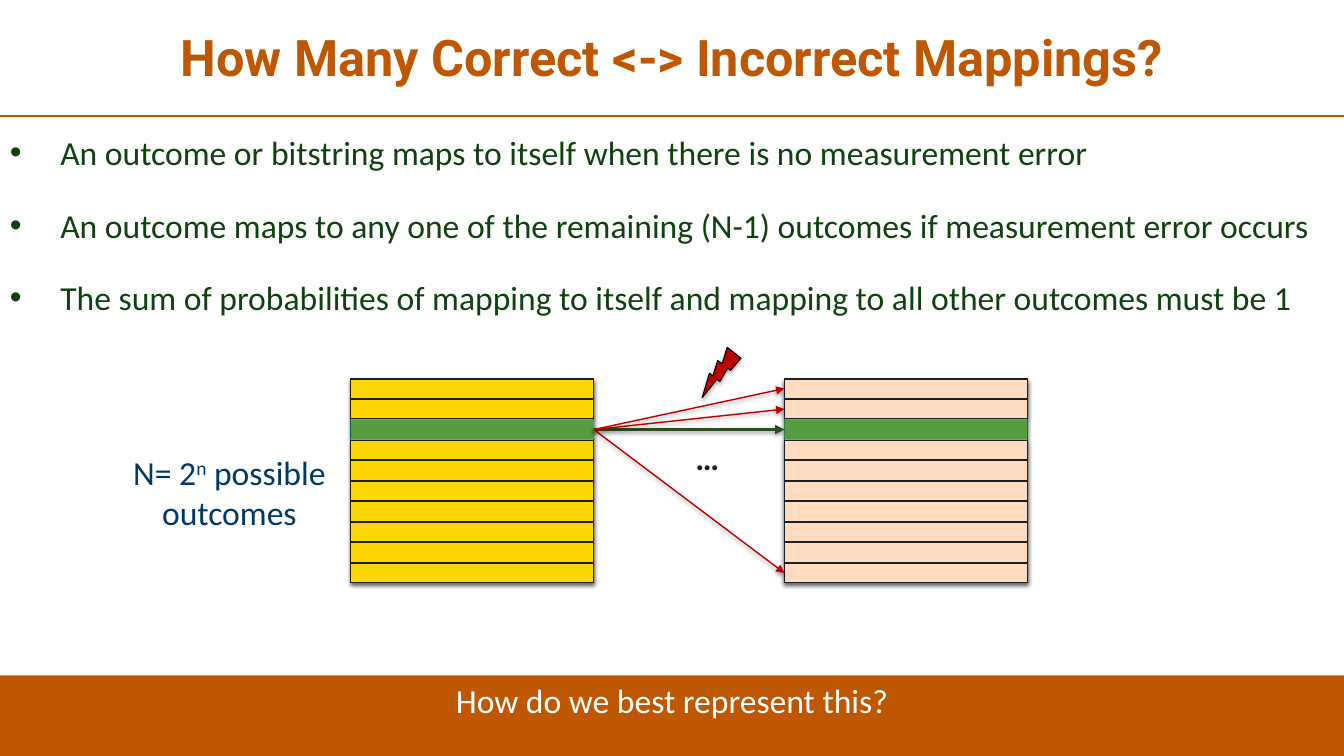
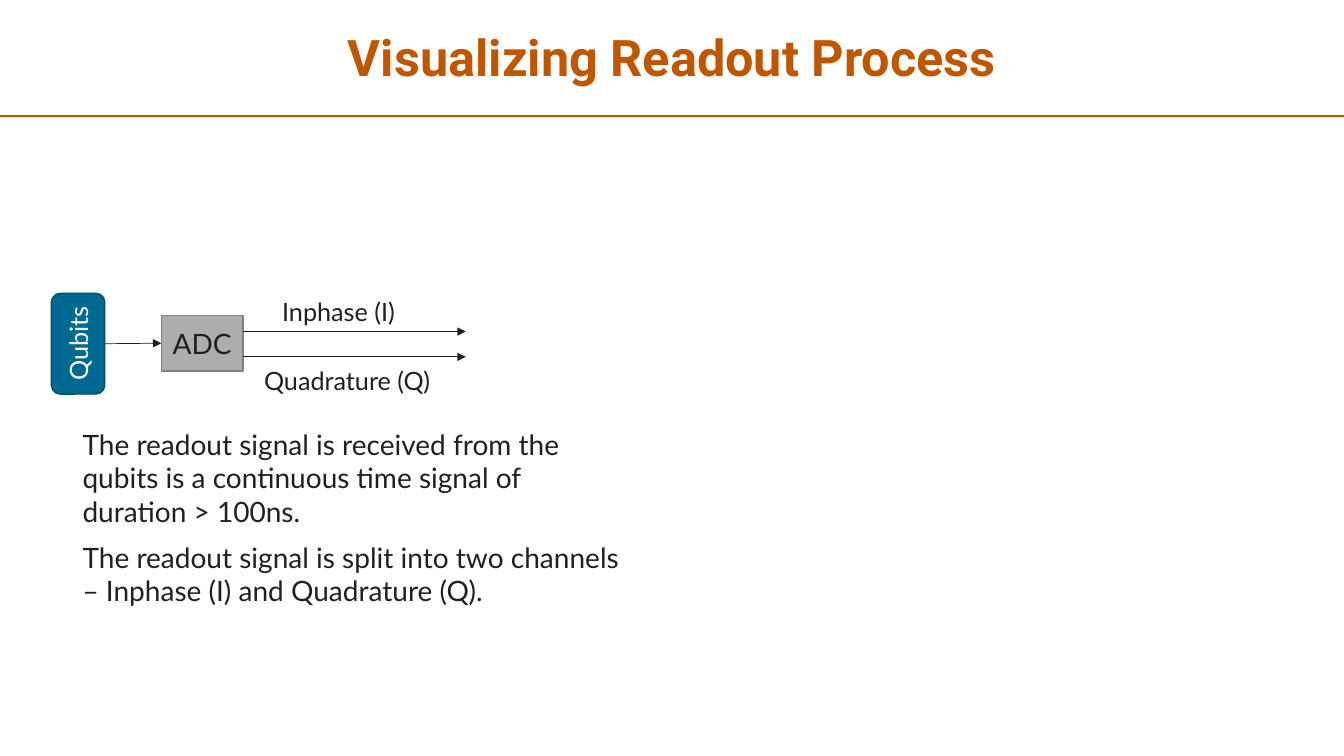
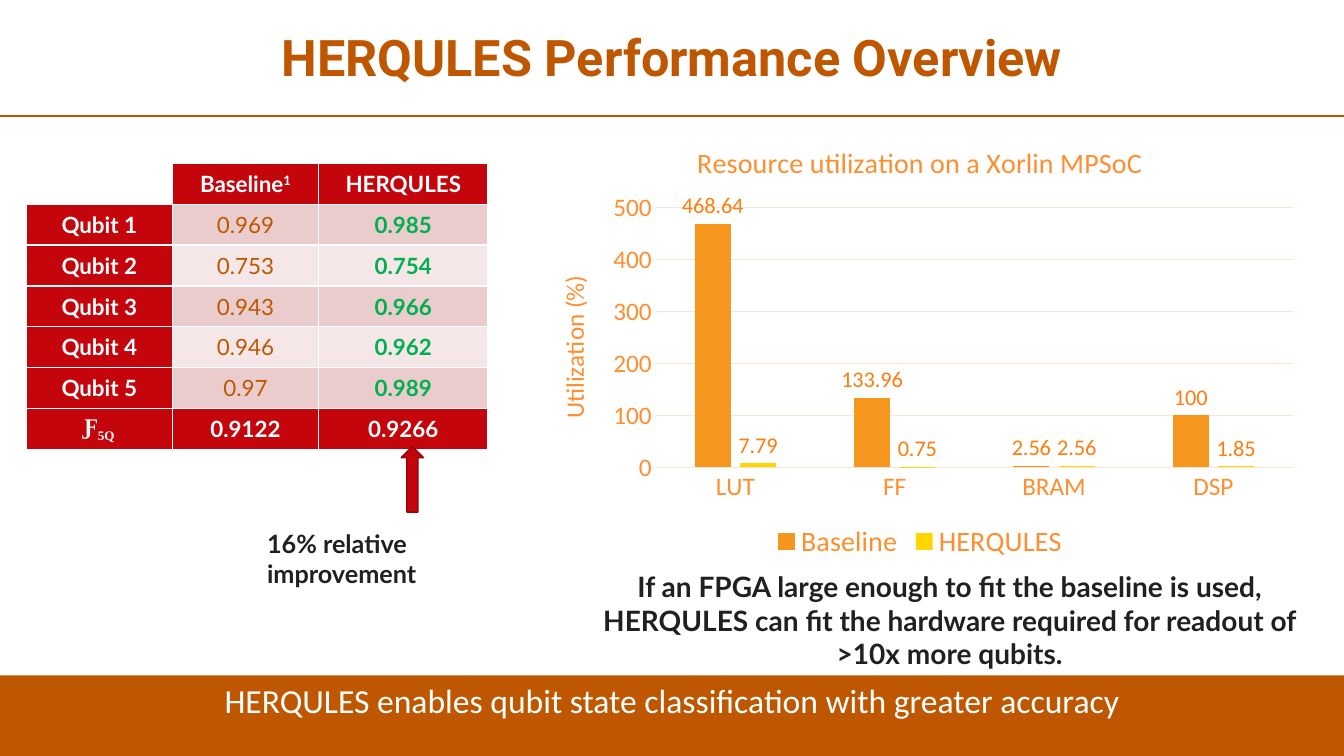
from typing import NamedTuple, Optional, Union

from lxml.etree import SubElement
from pptx import Presentation
from pptx.chart.data import CategoryChartData
from pptx.dml.color import RGBColor
from pptx.enum.chart import (XL_CHART_TYPE as Chart, XL_LABEL_POSITION as Spot,
                             XL_LEGEND_POSITION as Side, XL_TICK_MARK as Tick)
from pptx.enum.shapes import MSO_CONNECTOR as Wire, MSO_SHAPE as Kind
from pptx.enum.text import MSO_ANCHOR as Anchor, PP_ALIGN as Align
from pptx.oxml import parse_xml
from pptx.oxml.ns import nsdecls, qn
from pptx.util import Inches, Pt

# Colours
TITLE = RGBColor(0xBE, 0x57, 0x00)
BAND = RGBColor(0xBF, 0x57, 0x00)
WHITE = RGBColor(0xFF, 0xFF, 0xFF)
INK = RGBColor(0x20, 0x20, 0x20)
DARK = RGBColor(0x1A, 0x1F, 0x24)
BLACK = RGBColor(0x00, 0x00, 0x00)
FOREST = RGBColor(0x10, 0x42, 0x10)
NAVY = RGBColor(0x00, 0x39, 0x63)
EDGE = RGBColor(0x00, 0x5C, 0x83)
SKY = RGBColor(0xAB, 0xC3, 0xE0)
PALE = RGBColor(0xE8, 0xEF, 0xF7)
GOLD = RGBColor(0xFF, 0xD6, 0x00)
PEACH = RGBColor(0xFF, 0xDC, 0xBF)
LEAF = RGBColor(0x57, 0x9C, 0x41)
MOSS = RGBColor(0x2B, 0x4E, 0x20)
RED = RGBColor(0xC0, 0x00, 0x00)
GREY = RGBColor(0xAD, 0xAD, 0xAD)
STEEL = RGBColor(0x80, 0x80, 0x80)
TEAL = RGBColor(0x00, 0x69, 0x92)
DEEP = RGBColor(0x00, 0x4E, 0x6C)
CRIMSON = RGBColor(0xC5, 0x05, 0x0C)
WINE = RGBColor(0x92, 0x04, 0x09)
ROSE = RGBColor(0xEA, 0xCC, 0xCC)
BLUSH = RGBColor(0xF5, 0xE7, 0xE7)
GREEN = RGBColor(0x00, 0xB0, 0x50)
AMBER = RGBColor(0xFF, 0x8E, 0x2F)
LABEL = RGBColor(0xFF, 0x7D, 0x0F)
GRID = RGBColor(0xFF, 0xE5, 0xCF)
ORANGE = RGBColor(0xF7, 0x96, 0x1F)


class Bit(NamedTuple):
    """Piece of text with a raised or lowered baseline, in percent."""
    text: str
    base: int = 0


class Box(NamedTuple):
    x: float
    y: float
    w: float
    h: float

    def size(self) -> list:
        return [Inches(n) for n in self]


class Bars(NamedTuple):
    name: str
    vals: tuple
    fill: RGBColor


class Ray(NamedTuple):
    row: int
    color: RGBColor
    width: float


Text = Union[str, list]


# Text
def write(frame, text: Text, *, size: float, color: RGBColor, font: str = "Lato",
          bold: bool = False, align=Align.LEFT, lead: Optional[float] = None,
          bullet: bool = False) -> None:
    bits = [Bit(text)] if isinstance(text, str) else text
    para = frame.paragraphs[0]
    paras = [para]
    for bit in bits:
        for i, part in enumerate(bit.text.split("\n")):
            if i:
                para = frame.add_paragraph()
                paras.append(para)
            run = para.add_run()
            run.text = part
            run.font.size, run.font.name, run.font.bold = Pt(size), font, bold
            run.font.color.rgb = color
            if bit.base:
                run.font._element.set("baseline", str(bit.base * 1000))
    for para in paras:
        para.alignment = align
        if lead:
            para.line_spacing = lead
        if bullet:
            ppr = para._p.get_or_add_pPr()
            ppr.set("marL", str(Inches(0.5)))
            ppr.set("indent", str(Inches(-0.5)))
            SubElement(ppr, qn("a:buFont")).set("typeface", "Arial")
            SubElement(ppr, qn("a:buChar")).set("char", "•")


def label(slide, box: Box, text: Text, *, wrap: bool = True,
          anchor=Anchor.TOP, **style) -> None:
    frame = slide.shapes.add_textbox(*box.size()).text_frame
    frame.word_wrap = wrap
    frame.vertical_anchor = anchor
    write(frame, text, **style)


# Shapes and lines
def cast(item, alpha: int = 35, dist: float = 1.8) -> None:
    """Give an item a soft shadow below it."""
    item._element.spPr.find(qn("a:effectLst")).append(parse_xml(
        f'<a:outerShdw {nsdecls("a")} blurRad="{Pt(3.1)}" dist="{Pt(dist)}" '
        f'dir="5400000" rotWithShape="0"><a:srgbClr val="000000">'
        f'<a:alpha val="{alpha * 1000}"/></a:srgbClr></a:outerShdw>'))


def shape(slide, kind, box: Box, fill: Optional[RGBColor] = None,
          line: Optional[RGBColor] = None, width: float = 0.75):
    item = slide.shapes.add_shape(kind, *box.size())
    item.shadow.inherit = False
    if fill is not None:
        item.fill.solid()
        item.fill.fore_color.rgb = fill
    if line is None:
        item.line.fill.background()
    else:
        item.line.color.rgb = line
        item.line.width = Pt(width)
    return item


def wire(slide, start: tuple, end: tuple, color: RGBColor, width: float,
         arrow: bool = True):
    item = slide.shapes.add_connector(
        Wire.STRAIGHT, *[Inches(n) for n in start + end])
    item.line.color.rgb = color
    item.line.width = Pt(width)
    if arrow:
        SubElement(item.line._get_or_add_ln(), qn("a:tailEnd")).set("type", "triangle")
    SubElement(item._element.spPr, qn("a:effectLst"))
    return item


# Shared frame of every slide
def start(deck, title: str, foot: str = ""):
    slide = deck.slides.add_slide(deck.slide_layouts[6])
    label(slide, Box(0.09, 0.04, 13.15, 1.11), title, anchor=Anchor.MIDDLE, size=36,
          color=TITLE, font="Roboto", bold=True, align=Align.CENTER, lead=0.9)
    wire(slide, (0, 1.15), (13.33, 1.15), BAND, 1.5, arrow=False)
    if foot:
        band = shape(slide, Kind.RECTANGLE, Box(0, 6.7, 13.33, 0.8), BAND)
        band.text_frame.vertical_anchor = Anchor.TOP
        write(band.text_frame, foot, size=24, color=WHITE, font="Calibri",
              align=Align.CENTER)
    return slide


# Slide 1: mappings
def stack(slide, left: float, fill: RGBColor) -> list:
    """Ten rows, of which the third is the correct outcome."""
    top, wide, high, row, count = 3.76, 2.41, 2.02, 0.19, 10
    back = shape(slide, Kind.RECTANGLE, Box(left, top, wide, high), line=EDGE)
    back.fill.gradient()
    back.fill.gradient_angle = 90
    for stop, color in zip(back.fill.gradient_stops, (SKY, PALE)):
        stop.color.rgb = color
    cast(back, 38, 1.6)
    step = (high - row) / (count - 1)
    rows = []
    for i in range(count):
        box = Box(left, top + i * step, wide, row)
        look = (LEAF, None) if i == 2 else (fill, DARK)
        rows.append(shape(slide, Kind.RECTANGLE, box, *look))
        cast(rows[-1])
    return rows


def mappings(deck) -> None:
    slide = start(deck, "How Many Correct <-> Incorrect Mappings?",
                  "How do we best represent this?")
    points = (
        "An outcome or bitstring maps to itself when there is no measurement error",
        "An outcome maps to any one of the remaining (N-1) outcomes if measurement error occurs",
        "The sum of probabilities of mapping to itself and mapping to all other outcomes must be 1",
    )
    for i, point in enumerate(points):
        label(slide, Box(0, 1.26 + 0.72 * i, 13.33, 0.5), point, size=24,
              color=FOREST, font="Calibri", bullet=True)

    left = stack(slide, 3.48, GOLD)
    right = stack(slide, 7.78, PEACH)
    bolt = shape(slide, Kind.LIGHTNING_BOLT, Box(6.94, 3.43, 0.38, 0.5), RED, BLACK)
    bolt.rotation = 69.2
    cast(bolt)
    for ray in (Ray(2, MOSS, 2.25), Ray(9, RED, 1), Ray(0, RED, 1), Ray(1, RED, 1)):
        line = wire(slide, (0, 0), (1, 1), ray.color, ray.width)
        line.begin_connect(left[2], 3)
        line.end_connect(right[ray.row], 1)
        cast(line, 38, 1.6)

    mid = dict(anchor=Anchor.MIDDLE, size=24, font="Calibri", align=Align.CENTER)
    label(slide, Box(1.17, 4.48, 2.21, 0.8),
          [Bit("N= 2"), Bit("n", 30), Bit(" possible\noutcomes")], color=NAVY, **mid)
    label(slide, Box(6.57, 4.13, 0.89, 0.8), "…", color=DARK, bold=True, **mid)


# Slide 2: readout
def readout(deck) -> None:
    slide = start(deck, "Visualizing Readout Process")
    adc = shape(slide, Kind.RECTANGLE, Box(1.6, 3.13, 0.81, 0.55), GREY, STEEL, 1)
    write(adc.text_frame, "ADC", size=20, color=INK, align=Align.CENTER)
    qubits = shape(slide, Kind.ROUNDED_RECTANGLE, Box(0.51, 2.91, 0.53, 1),
                   TEAL, DEEP, 1)
    frame = qubits.text_frame
    frame.margin_left = frame.margin_right = frame.margin_top = frame.margin_bottom = 0
    frame._txBody.bodyPr.set("vert", "vert270")
    write(frame, "Qubits", size=18, color=WHITE, align=Align.CENTER)

    feed = wire(slide, (1.04, 3.41), (1.6, 3.41), INK, 0.5)
    feed.begin_connect(qubits, 3)
    feed.end_connect(adc, 1)
    for y in (3.29, 3.54):
        wire(slide, (2.41, y), (4.62, y), INK, 0.5)

    label(slide, Box(2.7, 2.89, 1.4, 0.4), "Inphase (I)", wrap=False, size=18, color=INK)
    label(slide, Box(2.52, 3.58, 1.98, 0.4), "Quadrature (Q)", wrap=False, size=18,
          color=INK)
    label(slide, Box(0.72, 4.19, 5.59, 1.11),
          "The readout signal is received from the qubits is a continuous time "
          "signal of duration > 100ns.", size=20, color=INK)
    label(slide, Box(0.72, 5.31, 5.59, 0.77),
          "The readout signal is split into two channels – Inphase (I) and "
          "Quadrature (Q).", size=20, color=INK)


# Slide 3: performance
def scores(slide) -> None:
    rows = (
        ("", [Bit("Baseline"), Bit("1", 30)], "HERQULES"),
        ("Qubit 1", "0.969", "0.985"),
        ("Qubit 2", "0.753", "0.754"),
        ("Qubit 3", "0.943", "0.966"),
        ("Qubit 4", "0.946", "0.962"),
        ("Qubit 5", "0.97", "0.989"),
        ([Bit("Ƒ"), Bit("5Q", -25)], "0.9122", "0.9266"),
    )
    last = len(rows) - 1
    table = slide.shapes.add_table(
        len(rows), 3, *Box(0.26, 1.62, 4.58, 2.84).size()).table
    table.first_col = table.last_row = True
    for col, wide in zip(table.columns, (1.45, 1.45, 1.68)):
        col.width = Inches(wide)
    for r, row in enumerate(rows):
        for c, text in enumerate(row):
            cell = table.cell(r, c)
            head = r in (0, last) or c == 0
            cell.fill.solid()
            cell.fill.fore_color.rgb = (CRIMSON if head and text else
                                        WHITE if head else (BLUSH, ROSE)[r % 2])
            cell.vertical_anchor = Anchor.MIDDLE
            if text:
                write(cell.text_frame, text, size=16, bold=head or c == 2,
                      color=WHITE if head else (TITLE, GREEN)[c - 1],
                      font="Times New Roman" if (r, c) == (last, 0) else "Lato",
                      align=Align.CENTER)


def tint(font, size: float, color: RGBColor) -> None:
    font.size, font.name, font.bold = Pt(size), "Calibri", False
    font.color.rgb = color


def usage(slide) -> None:
    series = (Bars("Baseline", (468.64, 133.96, 2.56, 100), ORANGE),
              Bars("HERQULES", (7.79, 0.75, 2.56, 1.85), GOLD))
    data = CategoryChartData()
    data.categories = ("LUT", "FF", "BRAM", "DSP")
    for bars in series:
        data.add_series(bars.name, bars.vals)
    chart = slide.shapes.add_chart(Chart.COLUMN_CLUSTERED,
                                   *Box(5.27, 1.23, 7.71, 4.37).size(), data).chart
    tint(chart.font, 10, TITLE)
    chart.has_title = True
    write(chart.chart_title.text_frame, "Resource utilization on a Xorlin MPSoC",
          size=20, color=AMBER, font="Calibri", align=Align.CENTER)
    chart.has_legend = True
    chart.legend.position = Side.BOTTOM
    chart.legend.include_in_layout = False
    tint(chart.legend.font, 20, AMBER)

    # Axes
    cats, vals = chart.category_axis, chart.value_axis
    for axis in (cats, vals):
        axis.major_tick_mark = axis.minor_tick_mark = Tick.NONE
        tint(axis.tick_labels.font, 18, AMBER)
    vals.minimum_scale, vals.maximum_scale, vals.major_unit = 0, 500, 100
    vals.format.line.fill.background()
    for line in (cats.format.line, vals.major_gridlines.format.line):
        line.color.rgb = GRID
        line.width = Pt(0.75)
    name = vals.axis_title.text_frame
    write(name, "Utilization (%)", size=18, color=AMBER, font="Calibri",
          align=Align.CENTER)
    name._txBody.bodyPr.set("rot", "-5400000")
    name._txBody.bodyPr.set("vert", "horz")

    # Bars
    plot = chart.plots[0]
    plot.gap_width, plot.overlap, plot.vary_by_categories = 219, -27, False
    for drawn, bars in zip(plot.series, series):
        drawn.format.fill.solid()
        drawn.format.fill.fore_color.rgb = bars.fill
        tags = drawn.data_labels
        tags.show_value = True
        tags.position = Spot.OUTSIDE_END
        tint(tags.font, 16, LABEL)

    # Plot area, as shares of the chart
    area = chart._chartSpace.chart.plotArea
    for old in area.findall(qn("c:layout")):
        area.remove(old)
    spots = "".join(f'<c:{k} val="{v}"/>' for k, v in (
        ("layoutTarget", "inner"), ("xMode", "edge"), ("yMode", "edge"),
        ("x", 0.16), ("y", 0.19), ("w", 0.82), ("h", 0.59)))
    area.insert(0, parse_xml(f'<c:layout {nsdecls("c")}><c:manualLayout>{spots}'
                             '</c:manualLayout></c:layout>'))


def results(deck) -> None:
    slide = start(deck, "HERQULES Performance Overview",
                  "HERQULES enables qubit state classification with greater accuracy")
    scores(slide)
    shape(slide, Kind.UP_ARROW, Box(3.98, 4.43, 0.22, 0.65), CRIMSON, WINE, 1)
    label(slide, Box(2.55, 5.19, 3.08, 0.4), "16% relative improvement", size=18,
          color=INK, bold=True)
    usage(slide)
    label(slide, Box(5.6, 5.6, 7.64, 0.77),
          "If an FPGA large enough to fit the baseline is used, HERQULES can fit the "
          "hardware required for readout of >10x more qubits.",
          size=20, color=INK, bold=True, align=Align.CENTER)


def main() -> None:
    deck = Presentation()
    deck.slide_width, deck.slide_height = Inches(13.33), Inches(7.5)
    for build in (mappings, readout, results):
        build(deck)
    deck.save("out.pptx")


if __name__ == "__main__":
    main()
